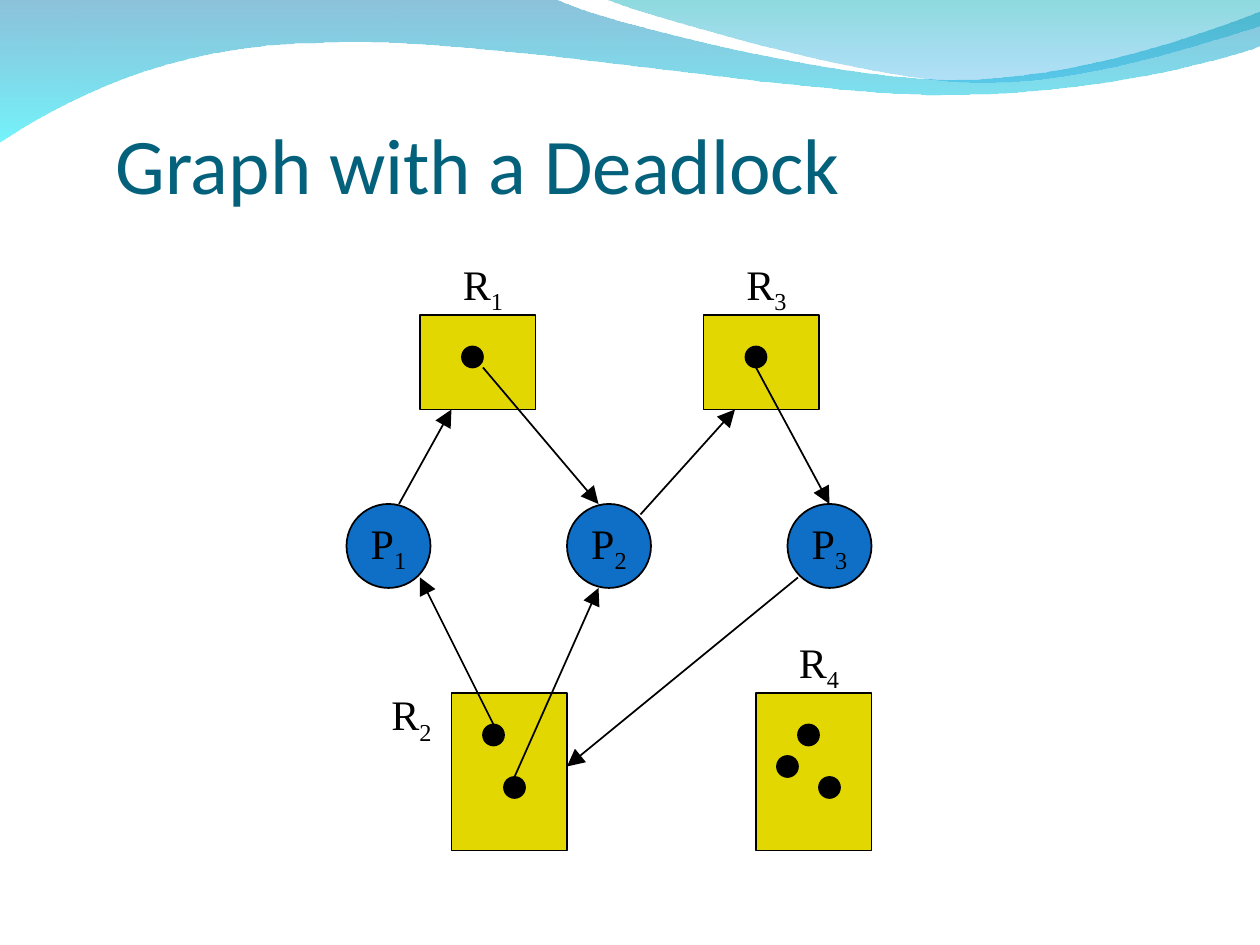
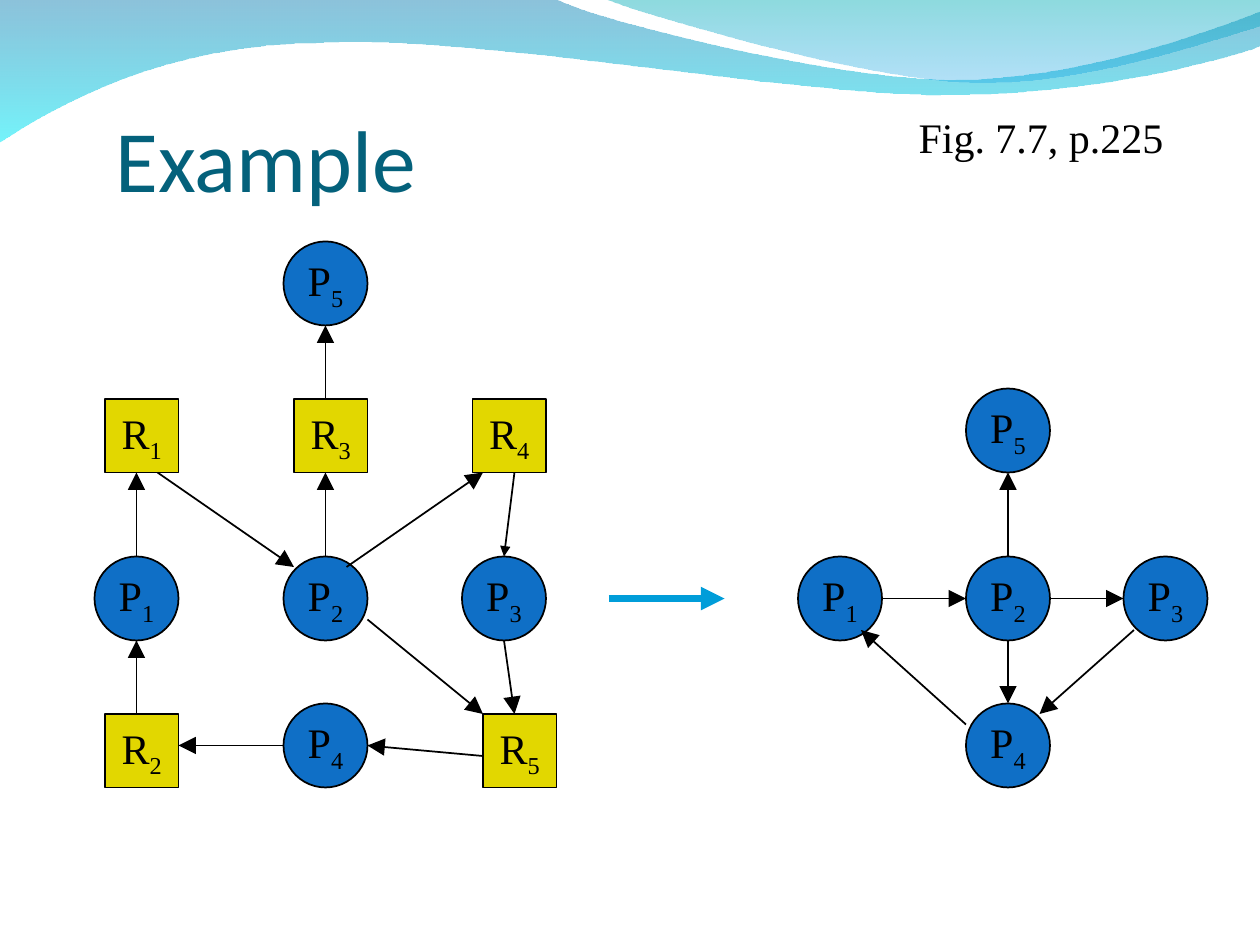
from lxml import etree
from pptx import Presentation
from pptx import util as u
from pptx.dml.color import RGBColor
from pptx.enum import shapes, text
from pptx.oxml.ns import qn

COLORS = {
    "title": "04617B", "ink": "000000", "process": "0F6FC6",
    "resource": "E2D700", "result": "009DD9",
    "wave_top": "0079AF", "wave_foot": "00EBF8",
    "veil_top": "00ADB6", "veil_foot": "009BE5",
}
TITLE_FONT, LABEL_FONT = "Calibri", "Times New Roman"
COLS, ROWS = 120, 90
WIDTH, HEIGHT = u.Inches(10), u.Inches(7.5)
CIRCLE, SQUARE, DOT = 8, 7, 2  # sizes in grid cells

# Outlines in inches: two numbers are a line, six are a Bézier curve.
WAVE = [(0, -0.01), (4.4, -0.01), (4.76, 0.17, 6.64, 0.63, 7.58, 0.63),
        (8.53, 0.63, 9.58, 0.26, 10, 0.09), (10.01, 0.36),
        (9.83, 0.44, 8.7, 0.76, 7.46, 0.75), (6.22, 0.75, 3.82, 0.28, 2.57, 0.34),
        (1.29, 0.35, 0.46, 0.83, -0.01, 1.13)]
VEIL = [(4.79, -0.01), (5.09, 0.11, 6.82, 0.62, 7.69, 0.65),
        (8.56, 0.69, 9.61, 0.32, 10, 0.21), (10, 0)]


def rgb(name):
    return RGBColor.from_string(COLORS[name])


def grid(x, y):
    """Turn a grid column and row into slide lengths."""
    return round(x * WIDTH / COLS), round(y * HEIGHT / ROWS)


def bend(sp, parts):
    """Turn the straight segments of a freeform into Bézier curves."""
    segments = list(sp.element.spPr.iter(qn("a:lnTo")))
    for segment, part in zip(segments, parts):
        if len(part) == 6:
            curve = etree.Element(qn("a:cubicBezTo"))
            for x, y in zip(part[::2], part[1::2]):
                pt = etree.SubElement(curve, qn("a:pt"))
                pt.set("x", str(u.Inches(x) - sp.left))
                pt.set("y", str(u.Inches(y) - sp.top))
            segment.getparent().replace(segment, curve)


def add_band(s, master, level, outline, stops):
    """Draw a gradient band and move it behind everything on the master."""
    corners = [(u.Inches(part[-2]), u.Inches(part[-1])) for part in outline]
    builder = s.shapes.build_freeform(*corners[0])
    builder.add_line_segments(corners[1:])
    sp = builder.convert_to_shape()
    bend(sp, outline[1:])
    sp.shadow.inherit = False
    sp.line.fill.background()
    sp.fill.gradient()
    sp.fill.gradient_angle = 270
    for stop, (color, opacity) in zip(sp.fill.gradient_stops, stops):
        stop.color.rgb = rgb(color)
    fill_colors = sp.element.spPr.find(qn("a:gradFill")).iter(qn("a:srgbClr"))
    for clr, (color, opacity) in zip(fill_colors, stops):
        etree.SubElement(clr, qn("a:alpha")).set("val", str(opacity * 1000))
    master.shapes.element.insert(2 + level, sp.element)


def set_title(s, words, size, cols):
    title = s.shapes.title
    title.left, title.top = grid(11, 5.5)
    title.width, title.height = grid(cols, 14.5)
    tf = title.text_frame
    tf.text = words
    tf.auto_size = text.MSO_AUTO_SIZE.NONE
    tf.vertical_anchor = text.MSO_ANCHOR.BOTTOM
    tf.margin_left = tf.margin_right = tf.margin_bottom = 0
    p = tf.paragraphs[0]
    p.alignment = text.PP_ALIGN.LEFT
    font = p.runs[0].font
    font.name, font.size, font.color.rgb = TITLE_FONT, u.Pt(size), rgb("title")


def write(tf, words, sub=""):
    """Write label text, with an optional subscript after it."""
    tf.word_wrap = False
    p = tf.paragraphs[0]
    for part in filter(None, (words, sub)):
        r = p.add_run()
        r.text = part
        r.font.name, r.font.size, r.font.color.rgb = LABEL_FONT, u.Pt(24), rgb("ink")
    if sub:
        r.font._element.set("baseline", "-25000")
    return p


def add_label(s, x, y, w, h, words, sub=""):
    box = s.shapes.add_textbox(*grid(x, y), *grid(w, h))
    write(box.text_frame, words, sub)


def add_figure(s, kind, x, y, w, h, color):
    sp = s.shapes.add_shape(kind, *grid(x, y), *grid(w, h))
    sp.shadow.inherit = False
    sp.fill.solid()
    sp.fill.fore_color.rgb = rgb(color)
    sp.line.color.rgb, sp.line.width = rgb("ink"), u.Pt(1)
    return sp


def add_node(s, name, x, y):
    """Add a process circle (P) or a resource square (R) with its name in it."""
    if name[0] == "P":
        sp = add_figure(s, shapes.MSO_SHAPE.OVAL, x, y, CIRCLE, CIRCLE, "process")
    else:
        sp = add_figure(s, shapes.MSO_SHAPE.RECTANGLE, x, y, SQUARE, SQUARE, "resource")
    sp.text_frame.vertical_anchor = text.MSO_ANCHOR.MIDDLE
    write(sp.text_frame, *name).alignment = text.PP_ALIGN.CENTER


def add_resource(s, name, box, label, dots):
    """Add a resource box with a dot for each instance and its name outside."""
    add_figure(s, shapes.MSO_SHAPE.RECTANGLE, *box, "resource")
    for x, y in dots:
        add_figure(s, shapes.MSO_SHAPE.OVAL, x, y, DOT, DOT, "ink")
    add_label(s, *label, 6.2, 6.7, *name)


def add_arrow(s, x1, y1, x2, y2, color="ink", width=1, head="lg"):
    line = s.shapes.add_connector(shapes.MSO_CONNECTOR.STRAIGHT,
                                  *grid(x1, y1), *grid(x2, y2))
    line.line.color.rgb, line.line.width = rgb(color), u.Pt(width)
    end = etree.SubElement(line.line._get_or_add_ln(), qn("a:tailEnd"))
    for key, value in (("type", "triangle"), ("w", head), ("len", head)):
        end.set(key, value)
    etree.SubElement(line.element.spPr, qn("a:effectLst"))


def draw_deadlock(s):
    set_title(s, "Graph with a Deadlock", 45, 74)
    resources = [
        ("R1", (40, 30, 11, 9), (42.9, 24), [(44, 33)]),
        ("R3", (67, 30, 11, 9), (69.9, 24), [(71, 33)]),
        ("R2", (43, 66, 11, 15), (36.1, 65), [(46, 69), (48, 74)]),
        ("R4", (72, 66, 11, 15), (74.9, 60), [(76, 69), (78, 74), (74, 72)]),
    ]
    for resource in resources:
        add_resource(s, *resource)
    for i in range(3):
        add_node(s, f"P{i + 1}", 33 + 21 * i, 48)
    arrows = [
        (38, 48, 43, 39), (46, 35, 57, 48), (61, 49, 70, 39), (72, 35, 79, 48),
        (49, 74, 57, 56), (47, 69, 40, 55), (76, 55, 54, 73),
    ]
    for arrow in arrows:
        add_arrow(s, *arrow)


def draw_example(s):
    set_title(s, "Example", 50, 31)
    add_label(s, 86.3, 10, 25.7, 6, "Fig. 7.7, p.225")
    allocation_nodes = [
        ("R1", 10, 38), ("R3", 28, 38), ("R4", 45, 38), ("R2", 10, 68), ("R5", 46, 68),
        ("P1", 9, 53), ("P2", 27, 53), ("P3", 44, 53), ("P4", 27, 67), ("P5", 27, 23),
    ]
    wait_for_nodes = [
        ("P1", 76, 53), ("P2", 92, 53), ("P3", 107, 53), ("P4", 92, 67), ("P5", 92, 37),
    ]
    for node in allocation_nodes + wait_for_nodes:
        add_node(s, *node)
    allocation_arrows = [
        (31, 53, 31, 45), (33, 54, 46, 45), (48, 61, 49, 68), (35, 59, 46, 68),
        (46, 72, 35, 71), (27, 71, 17, 71), (13, 68, 13, 61), (13, 53, 13, 45),
        (15, 45, 28, 54), (31, 38, 31, 31),
    ]
    wait_for_arrows = [
        (100, 57, 107, 57), (84, 57, 92, 57), (96, 61, 96, 67),
        (108, 60, 99, 68), (92, 69, 82, 60), (96, 53, 96, 45),
    ]
    for arrow in allocation_arrows + wait_for_arrows:
        add_arrow(s, *arrow)
    add_arrow(s, 49, 45, 48, 53, head="med")
    add_arrow(s, 58, 57, 69, 57, "result", 4.5, "med")


def main():
    prs = Presentation()
    prs.slide_width, prs.slide_height = WIDTH, HEIGHT
    title_only = prs.slide_layouts[5]
    deadlock, example = (prs.slides.add_slide(title_only) for _ in range(2))
    bands = [
        (WAVE, [("wave_top", 45), ("wave_foot", 55)]),
        (VEIL, [("veil_top", 45), ("veil_foot", 30)]),
    ]
    for level, (outline, stops) in enumerate(bands):
        add_band(deadlock, prs.slide_master, level, outline, stops)
    draw_deadlock(deadlock)
    draw_example(example)
    prs.save("out.pptx")


if __name__ == "__main__":
    main()
